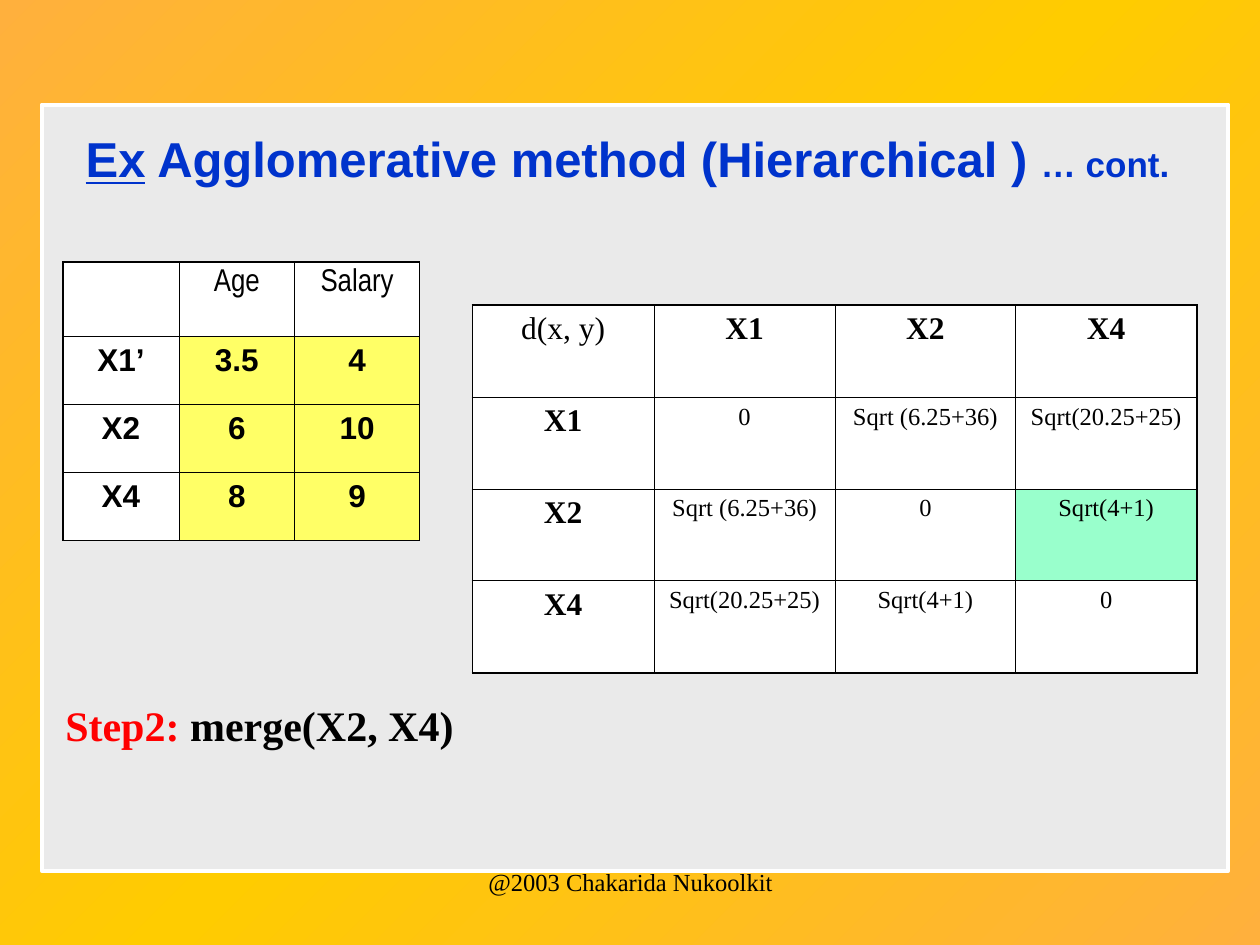
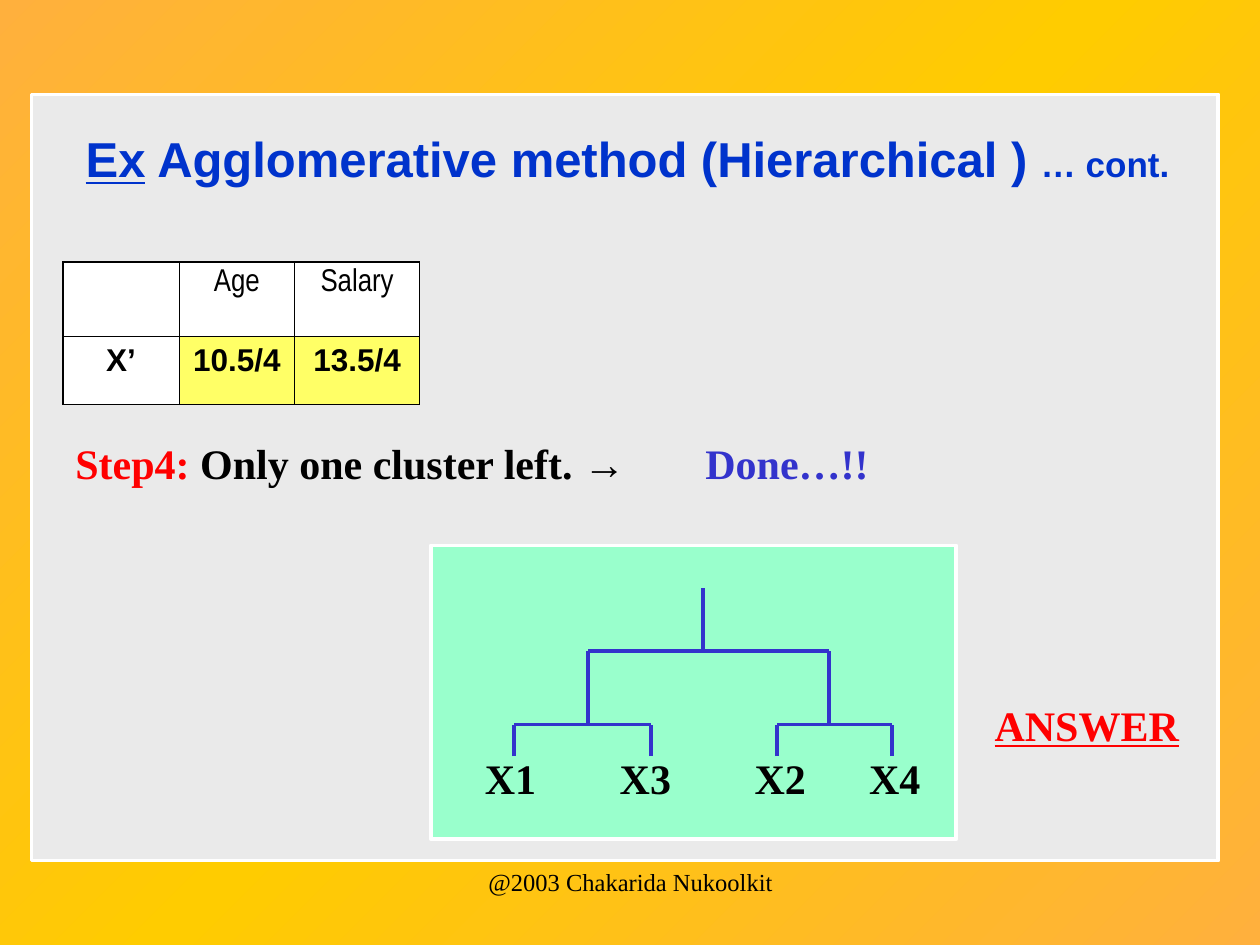
from copy import deepcopy

from lxml import etree
from pptx import Presentation
from pptx.dml.color import RGBColor
from pptx.enum import shapes, text
from pptx.oxml import ns
from pptx.util import Inches, Pt

AMBER = RGBColor(0xFF, 0xB0, 0x3D)
GOLD = RGBColor(0xFF, 0xCC, 0x00)
GREY = RGBColor(0xEA, 0xEA, 0xEA)
WHITE = RGBColor(0xFF, 0xFF, 0xFF)
BLACK = RGBColor(0x00, 0x00, 0x00)
BLUE = RGBColor(0x00, 0x33, 0xCC)
INDIGO = RGBColor(0x33, 0x33, 0xCC)
RED = RGBColor(0xFF, 0x00, 0x00)
YELLOW = RGBColor(0xFF, 0xFF, 0x66)
MINT = RGBColor(0x99, 0xFF, 0xCC)

SANS, NARROW, SERIF = "Arial", "Arial Narrow", "Times New Roman"
THICK, THIN = 1.08, 0.45
LEFT, CENTER = text.PP_ALIGN.LEFT, text.PP_ALIGN.CENTER

TITLE = {"name": SANS, "size": Pt(28), "bold": True}
STEP = {"name": SERIF, "size": Pt(24), "bold": True}
NOTE = {"name": SERIF, "size": Pt(14), "bold": False}
HEAD = {"name": NARROW, "size": Pt(18), "bold": False}
DATA = {"name": SANS, "size": Pt(18), "bold": True}
NAME = {"name": SERIF, "size": Pt(18), "bold": True}

FIELDS = ["", "Age", "Salary"]
FIELD_COLS = [0.92, 0.92, 0.99]


def inches(*sizes):
    return [Inches(size) for size in sizes]


def add_run(para, words, look, color=BLACK, **extra):
    run = para.add_run()
    run.text = words
    for key, value in {**look, **extra}.items():
        setattr(run.font, key, value)
    run.font.color.rgb = color


def set_tabs(para, stops):
    props = para._p.get_or_add_pPr()
    tabs = etree.SubElement(props, ns.qn("a:tabLst"))
    for stop in stops:
        etree.SubElement(tabs, ns.qn("a:tab"), pos=str(Inches(stop)), algn="l")


def add_text(slide, box, runs, align=LEFT, stops=()):
    frame = slide.shapes.add_textbox(*inches(*box)).text_frame
    frame.word_wrap = True
    para = frame.paragraphs[0]
    para.alignment = align
    if stops:
        set_tabs(para, stops)
    for words, look, color in runs:
        add_run(para, words, look, color)
    return para


def add_panel(slide, box, color):
    panel = slide.shapes.add_shape(shapes.MSO_SHAPE.RECTANGLE, *inches(*box))
    panel.shadow.inherit = False
    panel.fill.solid()
    panel.fill.fore_color.rgb = color
    panel.line.color.rgb = WHITE
    panel.line.width = Pt(2.25)
    return panel


def add_line(slide, *ends):
    line = slide.shapes.add_connector(shapes.MSO_CONNECTOR.STRAIGHT, *inches(*ends))
    line.line.color.rgb = INDIGO
    line.line.width = Pt(2.25)
    etree.SubElement(line.element.spPr, ns.qn("a:effectLst"))


def add_fork(slide, left, right, top, foot):
    add_line(slide, left, top, right, top)
    for x in (left, right):
        add_line(slide, x, foot, x, top)


def set_edges(cell, widths):
    props = cell._tc.get_or_add_tcPr()
    for side, width in zip("LRTB", widths):
        edge = etree.SubElement(props, ns.qn(f"a:ln{side}"), w=str(Pt(width)))
        fill = etree.SubElement(edge, ns.qn("a:solidFill"))
        etree.SubElement(fill, ns.qn("a:srgbClr"), val=str(BLACK))


def add_table(slide, spot, cols, heights, rows, look, tint):
    size = (sum(cols), sum(heights))
    table = slide.shapes.add_table(len(rows), len(cols), *inches(*spot, *size)).table
    table.first_row = table.horz_banding = False
    for col, width in zip(table.columns, cols):
        col.width = Inches(width)
    for row, height in zip(table.rows, heights):
        row.height = Inches(height)
    for r, row in enumerate(rows):
        for c, words in enumerate(row):
            cell = table.cell(r, c)
            outer = (c == 0, c == len(cols) - 1, r == 0, r == len(rows) - 1)
            set_edges(cell, [THICK if rim else THIN for rim in outer])
            cell.fill.solid()
            cell.fill.fore_color.rgb = tint(r, c)
            para = cell.text_frame.paragraphs[0]
            para.alignment = CENTER
            if words:
                add_run(para, words, look(r, c))


def add_fields(slide, rows):
    add_table(slide, (0.5, 2.08), FIELD_COLS, [0.59] + [0.54] * len(rows),
              [FIELDS] + rows,
              lambda r, c: DATA if r else HEAD,
              lambda r, c: YELLOW if r and c else WHITE)


def add_matrix(slide):
    near, far, pair = "Sqrt (6.25+36)", "Sqrt(20.25+25)", "Sqrt(4+1)"
    rows = [["d(x, y)", "X1", "X2", "X4"],
            ["X1", "0", near, far],
            ["X2", near, "0", pair],
            ["X4", far, pair, "0"]]

    def look(r, c):
        if r and c:
            return NOTE
        return {**NAME, "bold": bool(r or c)}

    add_table(slide, (3.75, 2.42), [1.44, 1.44, 1.43, 1.44], [0.73] * 4, rows, look,
              lambda r, c: MINT if (r, c) == (2, 3) else WHITE)


def add_tree(slide):
    add_panel(slide, (3.42, 4.33, 4.17, 2.33), MINT)
    add_text(slide, (3.67, 5.92, 3.83, 0.5), [("\tX1\tX3\tX2\tX4", STEP, BLACK)],
             stops=(0.08, 1.15, 2.22, 3.13))
    add_fork(slide, 4.08, 5.17, 5.75, 6)
    add_fork(slide, 6.17, 7.08, 5.75, 6)
    add_fork(slide, 4.67, 6.58, 5.17, 5.75)
    add_line(slide, 5.58, 5.17, 5.58, 4.67)


def set_back(master):
    fill = master.background.fill
    fill.gradient()
    stops = master.element.find(f".//{ns.qn('p:bg')}//{ns.qn('a:gsLst')}")
    stops.append(deepcopy(stops[0]))
    fill.gradient_angle = 135
    for stop, place, color in zip(fill.gradient_stops, (0, 0.5, 1), (AMBER, GOLD, AMBER)):
        stop.position = place
        stop.color.rgb = color


def add_slide(deck, left, top):
    slide = deck.slides.add_slide(deck.slide_layouts[5])
    title = slide.shapes.title
    panel = add_panel(slide, (left, top, 9.42, 6.08), GREY)
    title.element.addprevious(panel.element)
    title.left, title.top, title.width, title.height = inches(0.58, 0.92, 9.17, 0.67)
    frame = title.text_frame
    frame.auto_size = text.MSO_AUTO_SIZE.NONE
    frame.vertical_anchor = text.MSO_ANCHOR.MIDDLE
    para = frame.paragraphs[0]
    para.alignment = LEFT
    add_run(para, "Ex", TITLE, BLUE, underline=True)
    add_run(para, " Agglomerative method (Hierarchical ) ", TITLE, BLUE)
    add_run(para, "… cont.", TITLE, BLUE, size=Pt(20))
    add_text(slide, (3.42, 6.83, 3.17, 0.5),
             [("@2003 Chakarida Nukoolkit", NOTE, BLACK)], CENTER)
    return slide


def add_merge(deck):
    slide = add_slide(deck, 0.33, 0.83)
    add_fields(slide, [["X1’", "3.5", "4"], ["X2", "6", "10"], ["X4", "8", "9"]])
    add_matrix(slide)
    add_text(slide, (0.42, 5.5, 3.83, 0.5),
             [("Step2:", STEP, RED), (" merge(X2, X4)", STEP, BLACK)])


def add_answer(deck):
    slide = add_slide(deck, 0.25, 0.75)
    add_fields(slide, [["X’", "10.5/4", "13.5/4"]])
    add_text(slide, (0.5, 3.42, 8.92, 0.5),
             [("Step4:", STEP, RED),
              (" Only one cluster left. ", STEP, BLACK),
              ("→\t", {**STEP, "name": SANS}, BLACK),
              ("Done…!!", STEP, INDIGO)], stops=(5,))
    add_tree(slide)
    add_text(slide, (7.75, 5.5, 1.75, 0.5),
             [("ANSWER", {**STEP, "underline": True}, RED)], CENTER)


def main():
    deck = Presentation()
    deck.slide_width, deck.slide_height = inches(10, 7.5)
    set_back(deck.slide_master)
    add_merge(deck)
    add_answer(deck)
    deck.save("out.pptx")


if __name__ == "__main__":
    main()
